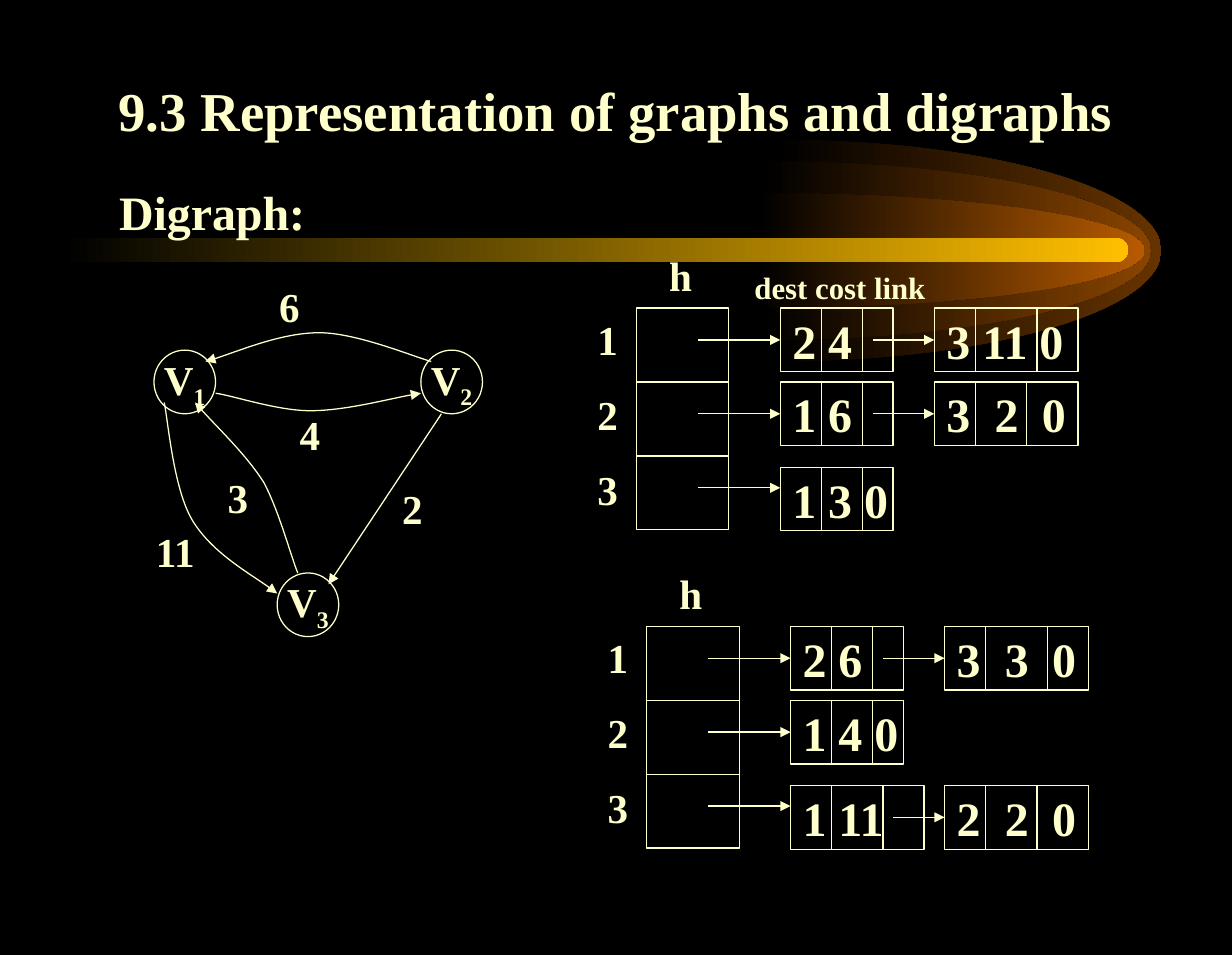
"""Build the slide on storing a digraph as linked lists."""
import lxml.etree
import pptx
import pptx.dml.color
import pptx.enum.shapes
import pptx.enum.text
import pptx.oxml.ns
import pptx.util

px = 7620
cream = "FFFFCC"
qn = pptx.oxml.ns.qn
sub = lxml.etree.SubElement
kind = pptx.enum.shapes.MSO_SHAPE
wire = pptx.enum.shapes.MSO_CONNECTOR.STRAIGHT
side = pptx.enum.text.PP_ALIGN
hold = pptx.enum.text.MSO_ANCHOR


def tint(code):
    """Turn a hex string into a colour."""
    return pptx.dml.color.RGBColor.from_string(code)


def write(frame, lines, size, look={}, form={}):
    """Fill a text frame with lines in the slide's bold type."""
    for key, val in {"word_wrap": True, **look}.items():
        setattr(frame, key, val)
    for num, line in enumerate(lines):
        para = frame.add_paragraph() if num else frame.paragraphs[0]
        for key, val in form.items():
            setattr(para, key, val)
        para.space_before = pptx.util.Pt(15 if num else 0)
        for spot, part in enumerate(line.split("_")):
            run = para.add_run()
            run.text = part
            font = {"name": "Times New Roman", "size": pptx.util.Pt(size), "bold": True}
            for key, val in font.items():
                setattr(run.font, key, val)
            run.font.color.rgb = tint(cream)
            if spot:
                run.font._element.set("baseline", "-25000")


deck = pptx.Presentation()
deck.slide_width, deck.slide_height = 1200 * px, 930 * px
slide = deck.slides.add_slide(deck.slide_layouts[1])
slide.background.fill.solid()
slide.background.fill.fore_color.rgb = tint("000000")
shapes = slide.shapes
title, body = shapes.title, slide.placeholders[1]
tree = title._element.getparent()

bends = [
    ([(210, 383), (226, 385), (270, 400), (302, 400), (336, 400), (388, 386), (410, 383)], None),
    ([(420, 352), (402, 347), (347, 324), (311, 324), (274, 324), (223, 346), (200, 352)], None),
    ([(160, 392), (164, 412), (169, 475), (187, 506), (206, 538), (253, 564), (270, 578)], None),
    ([(290, 558), (284, 544), (272, 498), (257, 470), (240, 443), (204, 409), (190, 392)], None),
]
for left, mid, half, code in [
    (755, 244, 108, "663300"), (745, 244, 87, "894400"), (739, 244, 56, "B75B00"),
]:
    pull, right = round(half * 0.45), left + 376
    bends.append(([
        (left, mid - half), (left + 208, mid - half), (right, mid - half + pull), (right, mid),
        (right, mid + half - pull), (left + 208, mid + half), (left, mid + half), (left, mid),
    ], code))

arcs, glows = [], []
for knots, code in bends:
    pen = shapes.build_freeform(*knots[0], scale=px)
    pen.add_line_segments(knots[1:], close=bool(code))
    bend = pen.convert_to_shape()
    steps = list(bend._element.iter(qn("a:lnTo")))
    for group in (steps[0:3], steps[3:6]):
        curve = lxml.etree.Element(qn("a:cubicBezTo"))
        group[0].addprevious(curve)
        for step in group:
            curve.append(step[0])
            step.getparent().remove(step)
    if code:
        glows.append((bend, code))
    else:
        arcs.append(bend)

bar = shapes.add_shape(kind.ROUNDED_RECTANGLE, 60 * px, 232 * px, 1039 * px, 23 * px)
bar.adjustments[0] = 0.5
glows.append((bar, "FFBF00"))
for glow, code in glows:
    glow.shadow.inherit = False
    glow.line.fill.background()
    glow.fill.gradient()
    glow.fill.gradient_angle = 0
    for stop, hue, place in zip(glow.fill.gradient_stops, ("000000", code), (0, 1)):
        stop.color.rgb = tint(hue)
        stop.position = place

for item, text, size, spot, look, form in [
    (title, "9.3 Representation of graphs and digraphs", 32, (90, 53, 1020, 92),
     {"vertical_anchor": hold.BOTTOM}, {"alignment": side.CENTER}),
    (body, "Digraph:", 28, (104, 172, 1006, 728), {"vertical_anchor": hold.TOP}, {}),
]:
    tree.append(item._element)
    for key, val in zip(("left", "top", "width", "height"), spot):
        setattr(item, key, val * px)
    look["auto_size"] = pptx.enum.text.MSO_AUTO_SIZE.NONE
    write(item.text_frame, [text], size, look, form)
props = body.text_frame.paragraphs[0]._p.get_or_add_pPr()
props.set("marL", "0")
props.set("indent", "0")
sub(props, qn("a:buNone"))

forms, links, heads = list(arcs), [], list(arcs)
for num, (left, top) in enumerate([(150, 341), (410, 341), (270, 558)], 1):
    node = shapes.add_shape(kind.OVAL, left * px, top * px, 60 * px, 62 * px)
    write(node.text_frame, [f"V_{num}"], 24,
          {"word_wrap": False, "vertical_anchor": hold.MIDDLE}, {"alignment": side.CENTER})
    forms.append(node)
for arc in arcs:
    tree.append(arc._element)
edge = shapes.add_connector(wire, 430 * px, 403 * px, 320 * px, 569 * px)
links.append(edge)
heads.append(edge)

notes = [
    ("11", 24, 140, 507, 90), ("3", 24, 210, 454, 100), ("4", 24, 280, 393, 60),
    ("6", 24, 260, 268, 90), ("2", 24, 380, 465, 70), ("dest cost link", 18, 723, 256, 227),
]
lists = [
    (620, 300, [
        [("2 4", 110, 40, 80), ("3 11 0", 140, 40, 100)],
        [("1 6", 110, 40, 80), ("3\t2\t0", 140, 40, 90)],
        [("1 3 0", 110, 40, 80)],
    ]),
    (630, 610, [
        [("2 6", 110, 40, 80), ("3\t3\t0", 140, 40, 100)],
        [("1 4 0", 110, 40, 80)],
        [("1 11", 130, 40, 90), ("2\t2\t0", 140, 40, 90)],
    ]),
]
for left, top, rows in lists:
    notes += [("1\n2\n3", 24, left - 50, top, 60), ("h", 24, left + 20, top - 62, 60)]
    for num, (row, drop) in enumerate(zip(rows, (0, 72, 155))):
        y, rise = top + drop, top + 72 * num
        forms.append(shapes.add_shape(kind.RECTANGLE, left * px, rise * px, 90 * px, 72 * px))
        start, level = left + 60, rise + 31
        for x, (text, wide, *cuts) in zip((left + 140, left + 290), row):
            cell = shapes.add_shape(kind.RECTANGLE, x * px, y * px, wide * px, 62 * px)
            forms.append(cell)
            write(cell.text_frame, [text], 28,
                  {"margin_right": 0, "vertical_anchor": hold.MIDDLE}, {"alignment": side.LEFT})
            if "\t" in text:
                tabs = sub(cell.text_frame.paragraphs[0]._p.get_or_add_pPr(), qn("a:tabLst"))
                for stop in (47, 93):
                    sub(tabs, qn("a:tab"), pos=str(stop * px), algn="l")
            for cut in cuts:
                spot = (x + cut) * px
                links.append(shapes.add_connector(wire, spot, y * px, spot, (y + 62) * px))
            link = shapes.add_connector(wire, start * px, level * px, x * px, level * px)
            if level == y + 31:
                link.end_connect(cell, 1)
            links.append(link)
            heads.append(link)
            start, level = x + cuts[1] + 10, y + 31

for text, size, left, top, wide in notes:
    lines = text.split("\n")
    high = 60 + 73 * (len(lines) - 1)
    note = shapes.add_textbox(left * px, top * px, wide * px, high * px)
    write(note.text_frame, lines, size)

for form in forms:
    form.shadow.inherit = False
    form.fill.background()
for line in forms + links:
    line.line.color.rgb = tint(cream)
    line.line.width = pptx.util.Pt(0.75)
for link in links:
    sub(link._element.spPr, qn("a:effectLst"))
for head in heads:
    sub(head._element.spPr.find(qn("a:ln")), qn("a:tailEnd"), type="triangle")

deck.save("out.pptx")
